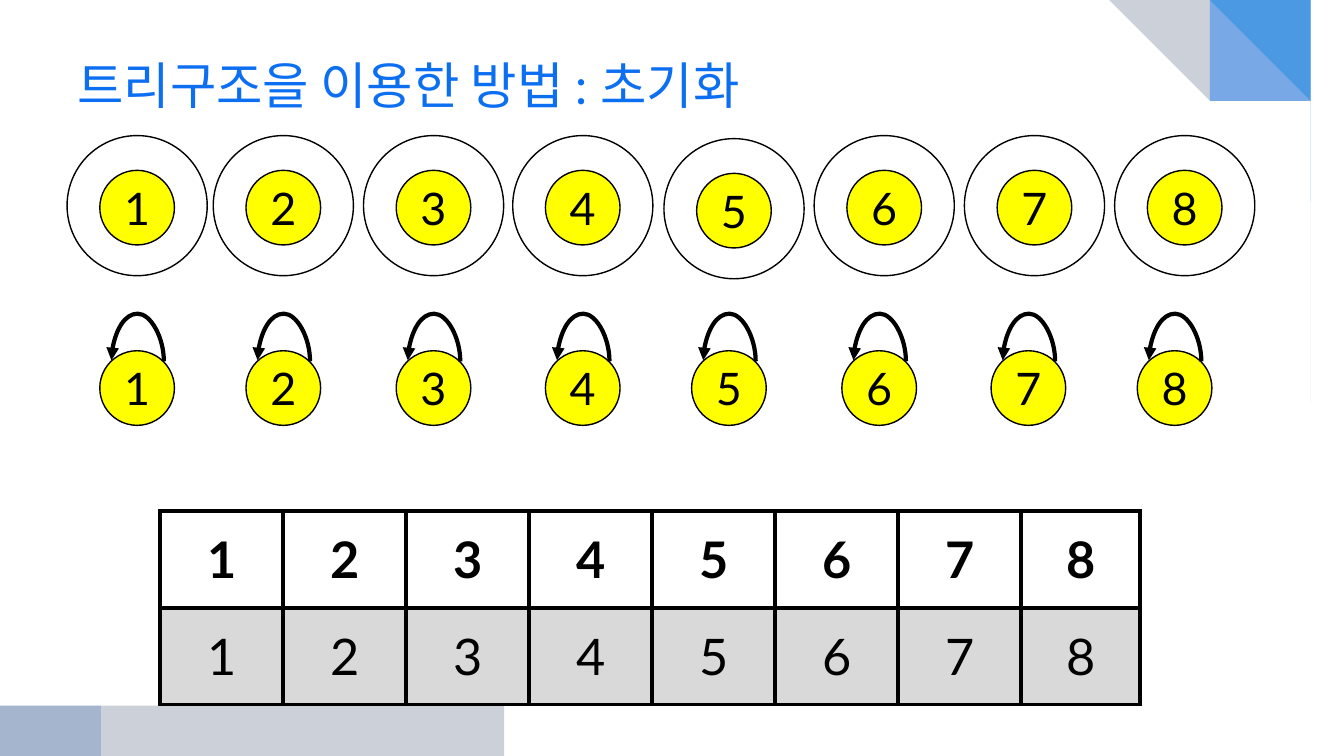
"""Build the slide on initialising disjoint sets kept as trees."""
import math

import pptx
import pptx.dml.color
import pptx.enum.shapes
import pptx.enum.text
import pptx.oxml
import pptx.oxml.ns
import pptx.util
from lxml import etree

RGBColor = pptx.dml.color.RGBColor
Inches = pptx.util.Inches
Pt = pptx.util.Pt
MIDDLE = pptx.enum.text.MSO_ANCHOR.MIDDLE
CENTER = pptx.enum.text.PP_ALIGN.CENTER
BLACK = RGBColor(0x00, 0x00, 0x00)
WHITE = RGBColor(0xFF, 0xFF, 0xFF)
YELLOW = RGBColor(0xFF, 0xFF, 0x00)
GREY = RGBColor(0xD9, 0xD9, 0xD9)
TITLE_BLUE = RGBColor(0x0C, 0x6F, 0xF2)
CYAN = RGBColor(0x00, 0xB1, 0xE9)
NAVY = RGBColor(0x02, 0x17, 0x41)
SKY = RGBColor(0x24, 0x7F, 0xF4)
DEEP_BLUE = RGBColor(0x08, 0x4A, 0xA1)
W, H = 13.33, 7.5
FONT = "Lato"


def add_run(p, text, size, color, bold=False):
    r = p.add_run()
    r.text = text
    r.font.name = FONT
    r.font.size = Pt(size)
    r.font.bold = bold
    r.font.color.rgb = color


def add_circle(s, cx, cy, d, fill, text=""):
    sp = s.shapes.add_shape(pptx.enum.shapes.MSO_SHAPE.OVAL, Inches(cx - d / 2),
                            Inches(cy - d / 2), Inches(d), Inches(d))
    sp.shadow.inherit = False
    sp.fill.solid()
    sp.fill.fore_color.rgb = fill
    sp.line.color.rgb = BLACK
    sp.line.width = Pt(1)
    if text:
        tf = sp.text_frame
        tf.vertical_anchor = MIDDLE
        tf.paragraphs[0].alignment = CENTER
        add_run(tf.paragraphs[0], text, 32, BLACK)


prs = pptx.Presentation()
prs.slide_width, prs.slide_height = Inches(W), Inches(H)
s = prs.slides.add_slide(prs.slide_layouts[5])

TOP_RIGHT, BOTTOM_LEFT = (W, 0, 1), (0, H, -1)
waves = [
    (TOP_RIGHT, 1.44, 4.08, CYAN, 45),
    (TOP_RIGHT, 4.44, 2.15, NAVY, 20),
    (TOP_RIGHT, 4.44, 1.55, SKY, 49),
    (BOTTOM_LEFT, 5.0, 1.42, NAVY, 20),
    (BOTTOM_LEFT, 1.48, 2.92, DEEP_BLUE, 20),
]
STEPS, BEND = 60, 1.77
for (x, y, sign), w, h, color, alpha in waves:
    curve = []
    for i in range(STEPS + 1):
        angle = math.pi / 2 * i / STEPS
        u = math.sin(angle) ** (2 / BEND)
        v = max(math.cos(angle), 0) ** (2 / BEND)
        curve.append((x - sign * w * (1 - u), y + sign * h * (1 - v)))
    builder = s.shapes.build_freeform(x, y, scale=Inches(1))
    builder.add_line_segments(curve, close=True)
    sp = builder.convert_to_shape()
    sp.shadow.inherit = False
    sp.fill.solid()
    sp.fill.fore_color.rgb = color
    sp.line.fill.background()
    clr = sp.fill._xPr.find(".//" + pptx.oxml.ns.qn("a:srgbClr"))
    etree.SubElement(clr, pptx.oxml.ns.qn("a:alpha"), val=str(alpha * 1000))

title = s.shapes.title
title.left, title.top = Inches(W * 0.05), Inches(0.33)
title.width, title.height = Inches(W * 0.9), Inches(1.01)
tf = title.text_frame
tf.word_wrap = True
tf.vertical_anchor = MIDDLE
tf.paragraphs[0].alignment = pptx.enum.text.PP_ALIGN.LEFT
add_run(tf.paragraphs[0], "트리구조을 이용한 방법 : 초기화", 36, TITLE_BLUE)

set_centres = [1.36, 2.81, 4.3, 5.78, 7.28, 8.77, 10.26, 11.75]
tree_centres = [1.36, 2.81, 4.3, 5.78, 7.23, 8.72, 10.2, 11.65]
SET_D, NODE_D = 1.39, 0.74
for n, cx in enumerate(set_centres, 1):
    cy = 2.07 if n == 5 else 2.04
    add_circle(s, cx, cy, SET_D, WHITE)
    add_circle(s, cx, cy + 0.02, NODE_D, YELLOW, str(n))

LOOP_W, LOOP_H, LOOP_Y = 0.01, 0.52, 3.58
for n, cx in enumerate(tree_centres, 1):
    add_circle(s, cx, 3.85, NODE_D, YELLOW, str(n))
    loop = s.shapes.add_connector(
        pptx.enum.shapes.MSO_CONNECTOR.CURVE,
        Inches(cx), Inches(LOOP_Y + LOOP_H / 2),
        Inches(cx + LOOP_W), Inches(LOOP_Y - LOOP_H / 2))
    loop.line.color.rgb = BLACK
    loop.line.width = Pt(3)
    spPr = loop._element.spPr
    spPr.find(pptx.oxml.ns.qn("a:xfrm")).set("rot", str(270 * 60000))
    guides = spPr.find(pptx.oxml.ns.qn("a:prstGeom")).get_or_add_avLst()
    etree.SubElement(guides, pptx.oxml.ns.qn("a:gd"), name="adj1", fmla="val 4800000")
    etree.SubElement(loop.line._get_or_add_ln(), pptx.oxml.ns.qn("a:tailEnd"), type="triangle")
    etree.SubElement(spPr, pptx.oxml.ns.qn("a:effectLst"))

COLS, ROW_H = [1.22] * 7 + [1.18], 0.96
table = s.shapes.add_table(2, len(COLS), Inches(1.59), Inches(5.07),
                           Inches(sum(COLS)), Inches(2 * ROW_H)).table
table.first_row = table.horz_banding = False
for col, width in zip(table.columns, COLS):
    col.width = Inches(width)
for row, (fill, bold) in enumerate([(WHITE, True), (GREY, False)]):
    table.rows[row].height = Inches(ROW_H)
    for col in range(len(COLS)):
        cell = table.cell(row, col)
        tcPr = cell._tc.get_or_add_tcPr()
        for side in ("a:lnL", "a:lnR", "a:lnT", "a:lnB"):
            ln = etree.SubElement(tcPr, pptx.oxml.ns.qn(side), w=str(Pt(3)))
            solid = etree.SubElement(ln, pptx.oxml.ns.qn("a:solidFill"))
            etree.SubElement(solid, pptx.oxml.ns.qn("a:srgbClr"), val=str(BLACK))
        cell.fill.solid()
        cell.fill.fore_color.rgb = fill
        cell.vertical_anchor = MIDDLE
        p = cell.text_frame.paragraphs[0]
        p.alignment = CENTER
        add_run(p, str(col + 1), 36, BLACK, bold)

prs.save("out.pptx")
